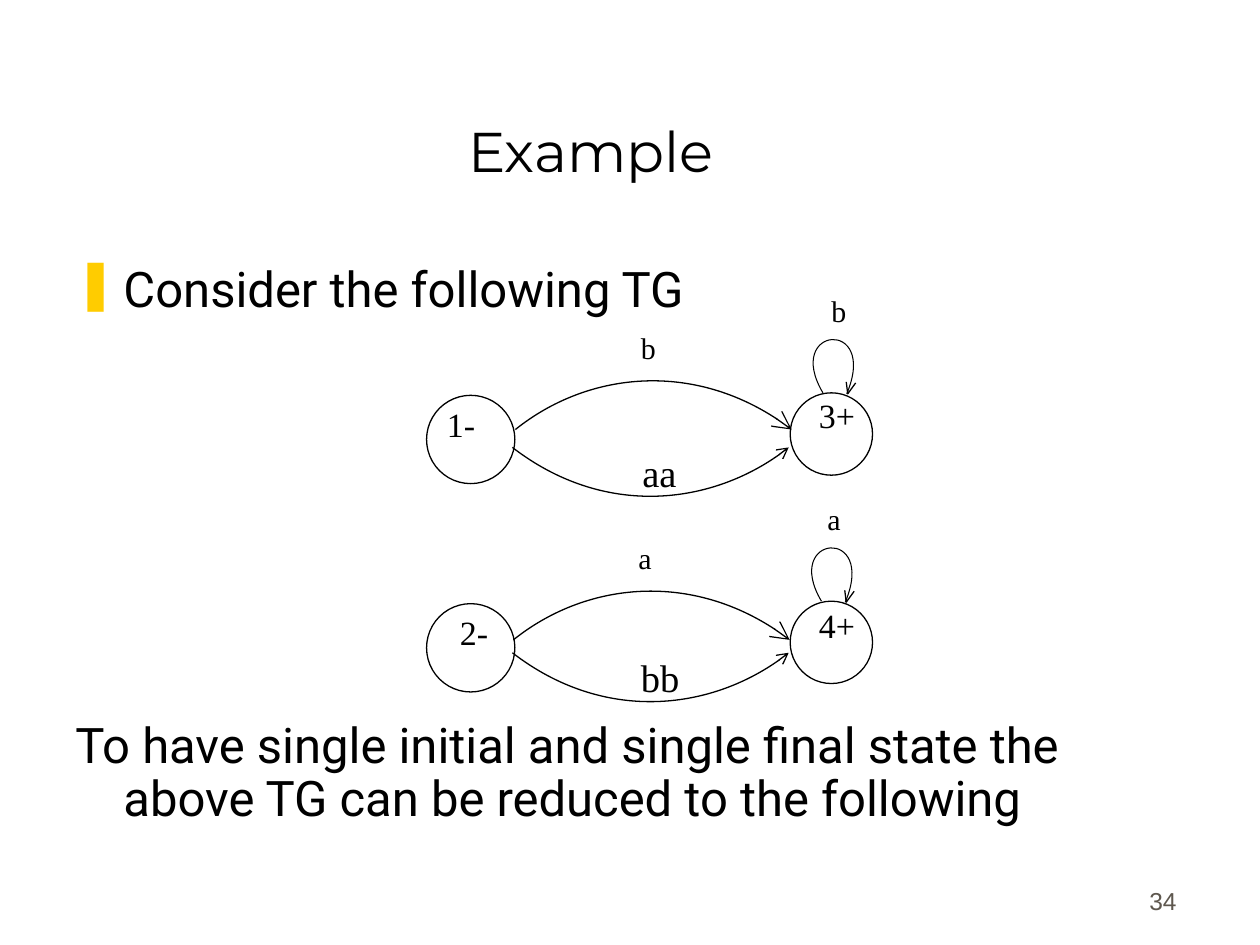
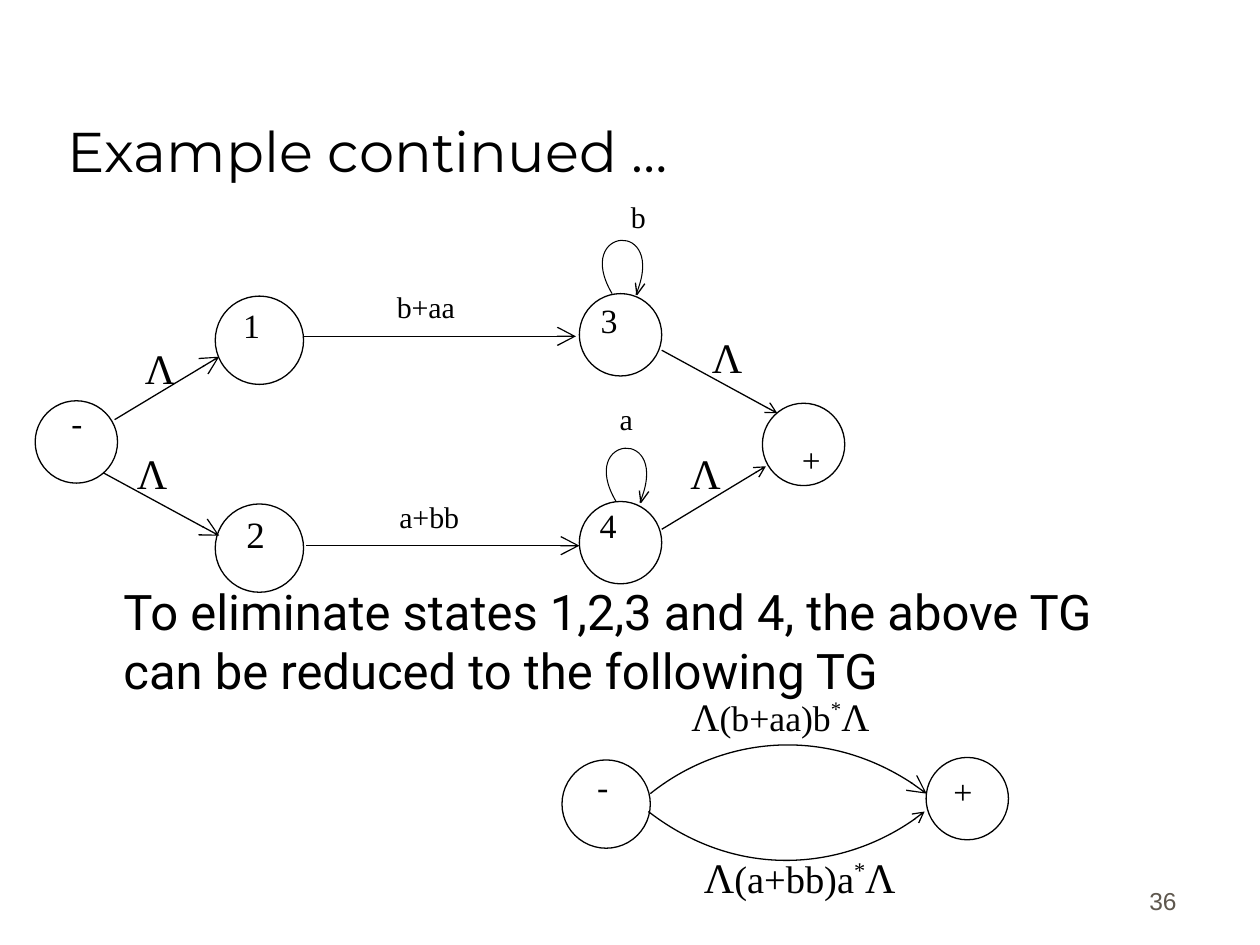
"""Build two slides that reduce a transition graph to single initial and final states."""
from dataclasses import dataclass
from typing import NamedTuple

import lxml.etree
import pptx
import pptx.dml.color
import pptx.enum.shapes
import pptx.enum.text
import pptx.oxml.ns
import pptx.slide
import pptx.util

Cm = pptx.util.Cm
Pt = pptx.util.Pt
qn = pptx.oxml.ns.qn
Align = pptx.enum.text.PP_ALIGN
Anchor = pptx.enum.text.MSO_ANCHOR

BLACK, WHITE, GREY, GOLD = "000000", "FFFFFF", "5E574E", "FFCC00"
TITLE_FONT, BODY_FONT, GRAPH_FONT, NUMBER_FONT = "Montserrat", "Roboto", "Times New Roman", "Arial"
INITIAL_DIAMETER, FINAL_DIAMETER = 1.78, 1.66
BODY_INDENT = 0.97
ARC = [(1.42, -1.14), (3.73, -1.42), (5.57, 0)]
LOOP = [(-0.8, -1.35), (1.13, -1.52), (0.48, 0.02)]
LOOP_HEAD = [(0.47, -0.22), (0.5, 0.02), (0.66, -0.2)]


class Style(NamedTuple):
    """Size, line spacing and box height of a graph label."""
    size: float
    spacing: float
    height: float


LETTER = Style(17.1, 0.8, 1.02)
SIGN = Style(18.9, 0.8, 1.07)
STATE = Style(19.4, 0.8, 1.07)
LARGE_STATE = Style(21.2, 0.9, 1.22)
WORD = Style(22, 1.0, 1.27)
LAMBDA = Style(24, 1.0, 1.27)


@dataclass
class Circle:
    """A state of the graph."""
    left: float
    top: float
    diameter: float = FINAL_DIAMETER


@dataclass
class Label:
    """A text of the graph."""
    text: str
    left: float
    top: float
    style: Style = STATE
    width: float = 2.59
    rotation: float = 0


@dataclass
class Formula:
    """An expression between two lambdas that ends in a raised star."""
    text: str
    left: float
    top: float
    width: float
    style: Style
    inner_size: float


@dataclass
class Edge:
    """A straight arrow."""
    start: tuple[float, float]
    end: tuple[float, float]
    head_size: str = "lg"


@dataclass
class Graph:
    """All parts of the drawing on one slide."""
    circles: list[Circle]
    upper_arcs: list[tuple[float, float]]
    lower_arcs: list[tuple[float, float]]
    loops: list[tuple[float, float]]
    labels: list[Label]
    edges: list[Edge]
    formulas: list[Formula]


def rgb(color: str) -> pptx.dml.color.RGBColor:
    """Turn a hex string into a colour."""
    return pptx.dml.color.RGBColor.from_string(color)


def format_font(font, name: str, size: float, color: str = BLACK) -> None:
    """Set typeface, size and colour."""
    font.name, font.size = name, Pt(size)
    font.color.rgb = rgb(color)


def add_text(slide: pptx.slide.Slide, text: str, box: tuple, font: tuple,
             align=Align.LEFT, anchor=Anchor.TOP, spacing: float = 1.0):
    """Add a wrapping text box whose lines become paragraphs."""
    shape = slide.shapes.add_textbox(*map(Cm, box))
    frame = shape.text_frame
    frame.word_wrap, frame.vertical_anchor = True, anchor
    frame.text = text
    for paragraph in frame.paragraphs:
        paragraph.alignment, paragraph.line_spacing = align, spacing
        for run in paragraph.runs:
            format_font(run.font, *font)
    return shape


def add_slide(presentation, title: str, align, number: str) -> pptx.slide.Slide:
    """Add a blank slide with its title and number."""
    slide = presentation.slides.add_slide(presentation.slide_layouts[6])
    add_text(slide, title, (1.12, 0.64, 21.59, 3.18), (TITLE_FONT, 32), align, Anchor.BOTTOM)
    add_text(slide, number, (18.69, 17.3, 5.28, 1.27), (NUMBER_FONT, 14, GREY),
             Align.RIGHT, Anchor.BOTTOM)
    return slide


def add_body(slide: pptx.slide.Slide, text: str, top: float, height: float,
             spacing: float, first_line: float):
    """Add body text and return its paragraphs."""
    shape = add_text(slide, text, (1.27, top, 22.7, height), (BODY_FONT, 28), spacing=spacing)
    paragraphs = shape.text_frame.paragraphs
    for paragraph in paragraphs:
        properties = paragraph._p.get_or_add_pPr()
        properties.set("marL", str(Cm(BODY_INDENT)))
        properties.set("indent", str(Cm(first_line)))
    return paragraphs


def add_bullet(paragraph) -> None:
    """Give a paragraph the gold bar bullet."""
    properties = paragraph._p.get_or_add_pPr()
    color = lxml.etree.SubElement(properties, qn("a:buClr"))
    lxml.etree.SubElement(color, qn("a:srgbClr"), val=GOLD)
    lxml.etree.SubElement(properties, qn("a:buChar"), char="❚")


def style_line(shape, width: float = 0.75, arrow: str = "", size: str = "") -> None:
    """Draw a black line with an optional open arrowhead."""
    shape.line.width = Pt(width)
    shape.line.color.rgb = rgb(BLACK)
    if arrow:
        line = shape.element.spPr.find(qn("a:ln"))
        lxml.etree.SubElement(line, qn(arrow), type="arrow", w=size, len=size)


def add_outline(slide: pptx.slide.Slide, points: list[tuple[float, float]]):
    """Add an open unfilled polyline."""
    start, *others = [(Cm(x), Cm(y)) for x, y in points]
    builder = slide.shapes.build_freeform(*start)
    builder.add_line_segments(others, close=False)
    shape = builder.convert_to_shape()
    shape.fill.background()
    shape.shadow.inherit = False
    return shape


def add_curve(slide: pptx.slide.Slide, start: tuple[float, float],
              offsets: list[tuple[float, float]], sign: int = 1):
    """Add a cubic curve from a start and the offsets of its other three points."""
    x, y = start
    shape = add_outline(slide, [start] + [(x + sign * dx, y + sign * dy) for dx, dy in offsets])
    segments = list(shape.element.iter(qn("a:lnTo")))
    cubic = lxml.etree.SubElement(segments[0].getparent(), qn("a:cubicBezTo"))
    for segment in segments:
        cubic.append(segment[0])
        segment.getparent().remove(segment)
    return shape


def draw_loop(slide: pptx.slide.Slide, start: tuple[float, float]) -> None:
    """Draw a loop above a state with its arrowhead."""
    x, y = start
    style_line(add_curve(slide, start, LOOP), 0.6)
    style_line(add_outline(slide, [(x + dx, y + dy) for dx, dy in LOOP_HEAD]))


def draw_circle(slide: pptx.slide.Slide, circle: Circle) -> None:
    """Draw a state."""
    size = Cm(circle.diameter)
    shape = slide.shapes.add_shape(pptx.enum.shapes.MSO_SHAPE.OVAL,
                                   Cm(circle.left), Cm(circle.top), size, size)
    shape.shadow.inherit = False
    shape.fill.solid()
    shape.fill.fore_color.rgb = rgb(WHITE)
    style_line(shape)


def draw_edge(slide: pptx.slide.Slide, edge: Edge) -> None:
    """Draw a straight arrow."""
    connector = slide.shapes.add_connector(pptx.enum.shapes.MSO_CONNECTOR.STRAIGHT,
                                           *map(Cm, edge.start + edge.end))
    style_line(connector, arrow="a:tailEnd", size=edge.head_size)
    lxml.etree.SubElement(connector.element.spPr, qn("a:effectLst"))


def draw_label(slide: pptx.slide.Slide, label: Label) -> None:
    """Draw a graph label."""
    style = label.style
    shape = add_text(slide, label.text, (label.left, label.top, label.width, style.height),
                     (GRAPH_FONT, style.size), spacing=style.spacing)
    shape.rotation = label.rotation


def draw_formula(slide: pptx.slide.Slide, formula: Formula) -> None:
    """Draw an expression with its lambdas and raised star."""
    style = formula.style
    shape = add_text(slide, "Λ", (formula.left, formula.top, formula.width, style.height),
                     (GRAPH_FONT, style.size), spacing=style.spacing)
    paragraph = shape.text_frame.paragraphs[0]
    for text, size in ((formula.text, formula.inner_size), ("*", formula.inner_size),
                       ("Λ", style.size)):
        run = paragraph.add_run()
        run.text = text
        format_font(run.font, GRAPH_FONT, size)
        if text == "*":
            run._r.get_or_add_rPr().set("baseline", "40000")


def draw_graph(slide: pptx.slide.Slide, graph: Graph) -> None:
    """Draw states, arrows and labels."""
    for circle in graph.circles:
        draw_circle(slide, circle)
    for start in graph.upper_arcs:
        style_line(add_curve(slide, start, ARC), arrow="a:tailEnd", size="lg")
    for start in graph.lower_arcs:
        style_line(add_curve(slide, start, ARC, -1), arrow="a:headEnd", size="med")
    for start in graph.loops:
        draw_loop(slide, start)
    for edge in graph.edges:
        draw_edge(slide, edge)
    for label in graph.labels:
        draw_label(slide, label)
    for formula in graph.formulas:
        draw_formula(slide, formula)


TWO_STARTS = Graph(
    circles=[Circle(8.6, 7.97, INITIAL_DIAMETER), Circle(15.93, 7.92),
             Circle(8.6, 12.17, INITIAL_DIAMETER), Circle(15.93, 12.12)],
    upper_arcs=[(10.39, 8.66), (10.35, 12.9)],
    lower_arcs=[(15.9, 9.02), (15.9, 13.16)],
    loops=[(16.59, 7.92), (16.56, 12.12)],
    labels=[Label("1-", 8.76, 8.18), Label("2-", 9.02, 12.37),
            Label("3+", 16.26, 7.98), Label("4+", 16.26, 12.22),
            Label("b", 12.67, 6.65, LETTER, 1.04), Label("a", 12.62, 10.9, LETTER, 1.04),
            Label("b", 16.51, 5.92, LETTER, 1.04), Label("a", 16.43, 10.11, LETTER, 1.04),
            Label("aa", 12.7, 8.92, WORD, 1.24), Label("bb", 12.67, 13.06, WORD, 1.5)],
    edges=[], formulas=[])

SINGLE_START = Graph(
    circles=[Circle(4.34, 5.97, INITIAL_DIAMETER), Circle(11.68, 5.92),
             Circle(4.34, 10.16, INITIAL_DIAMETER), Circle(11.68, 10.11),
             Circle(0.71, 8.08), Circle(15.37, 8.13),
             Circle(11.33, 15.32, INITIAL_DIAMETER), Circle(18.67, 15.27)],
    upper_arcs=[(13.11, 16)], lower_arcs=[(18.64, 16.36)],
    loops=[(12.34, 5.92), (12.42, 10.11)],
    labels=[Label("1", 4.65, 6.17), Label("2", 4.72, 10.29, LARGE_STATE),
            Label("3", 11.86, 6.07), Label("4", 11.84, 10.21),
            Label("-", 1.19, 8.15, SIGN), Label("+", 14.2, 8.64, SIGN, rotation=180),
            Label("-", 11.79, 15.47), Label("+", 18.97, 15.57),
            Label("b", 12.47, 4.01, LETTER, 1.04), Label("a", 12.24, 8.1, LETTER, 1.04),
            Label("b+aa", 7.75, 5.84, LETTER, 3.38), Label("a+bb", 7.8, 10.06, LETTER, 3.38)]
    + [Label("Λ", left, top, LAMBDA, 1.12)
       for left, top in ((14.1, 6.55), (13.67, 8.89), (2.67, 6.78), (2.51, 8.89))],
    edges=[Edge((2.31, 8.46), (4.42, 7.19)), Edge((2.08, 9.53), (4.42, 10.8)),
           Edge((6.12, 6.78), (11.61, 6.78)), Edge((6.17, 11), (11.68, 11)),
           Edge((13.34, 10.67), (15.44, 9.4), "med"), Edge((13.34, 7.06), (15.67, 8.33), "med")],
    formulas=[Formula("(b+aa)b", 13.69, 13.94, 5.61, Style(22.2, 0.9, 1.24), 20.4),
              Formula("(a+bb)a", 13.94, 17.04, 8.28, LAMBDA, 22)])


def main() -> None:
    """Build and save the presentation."""
    presentation = pptx.Presentation()
    presentation.slide_width, presentation.slide_height = Cm(25.4), Cm(19.05)

    slide = add_slide(presentation, "Example", Align.CENTER, "34")
    task, result = add_body(
        slide, "Consider the following TG\nTo have single initial and single final state "
        "the above TG can be reduced to the following", 5.23, 11.58, 0.9, -BODY_INDENT)
    add_bullet(task)
    result.space_before = Pt(230)
    draw_graph(slide, TWO_STARTS)

    slide = add_slide(presentation, "Example continued …", Align.LEFT, "36")
    add_body(slide, "To eliminate states 1,2,3 and 4, the above TG can be reduced "
             "to the following TG", 11.6, 5.21, 1.0, 0)
    draw_graph(slide, SINGLE_START)
    presentation.save("out.pptx")


if __name__ == "__main__":
    main()
